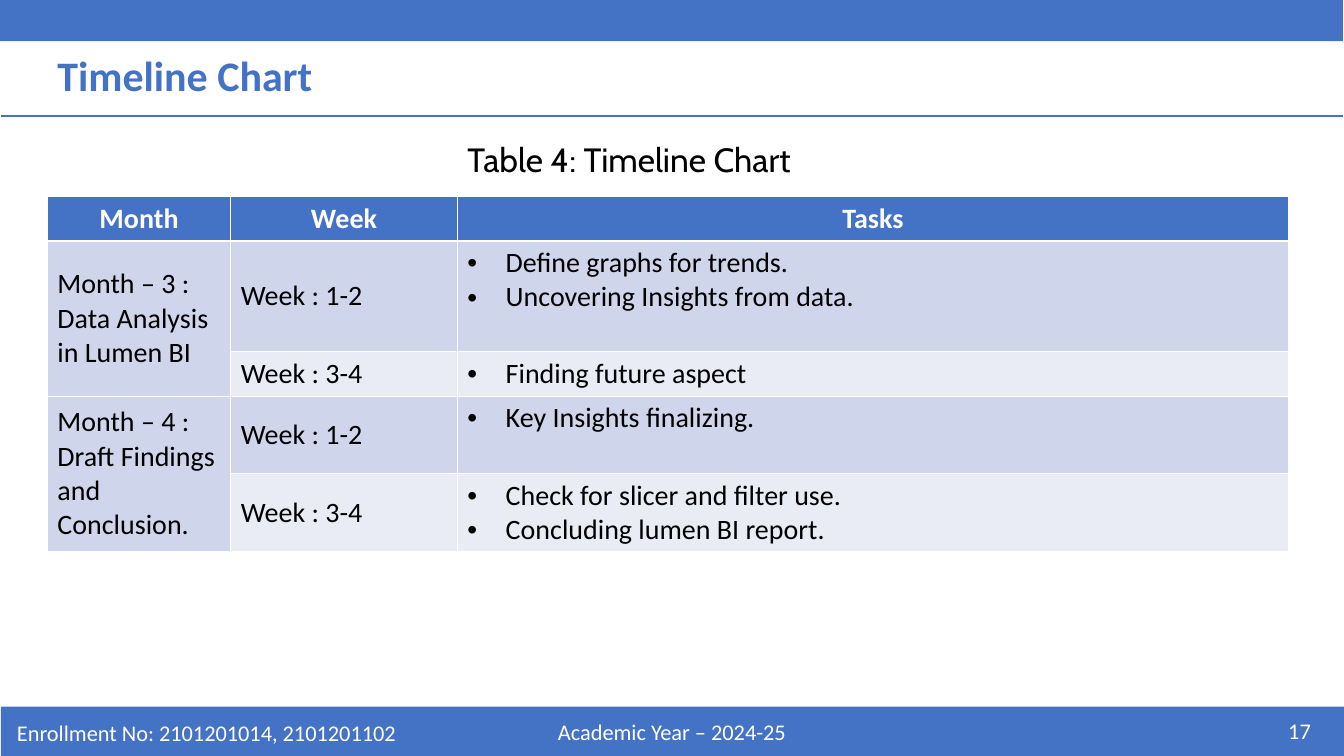
from lxml.etree import SubElement
from pptx import Presentation
from pptx.dml.color import RGBColor
from pptx.enum.shapes import MSO_CONNECTOR as CONN, MSO_SHAPE as SHAPE
from pptx.enum.text import MSO_ANCHOR as ANCHOR, MSO_AUTO_SIZE as AUTO, PP_ALIGN as ALIGN
from pptx.oxml.ns import qn
from pptx.util import Emu, Pt

BLUE, WHITE, BLACK = "4472C4", "FFFFFF", "000000"
BANDS = ["CFD5EA", "E9EBF5"]
TITLE = "Timeline Chart"
CAPTION = "Table 4: Timeline Chart"
BARS = [(1, 701, 1333, 49), (0, -2, 1333, 43)]
FOOTER = [
    ("Enrollment No: 2101201014, 2101201102", (7, 707, 450, 40), ALIGN.LEFT),
    ("Academic Year – 2024-25", (442, 706, 450, 40), ALIGN.CENTER),
    ("17", (1011, 705, 300, 40), ALIGN.RIGHT),
]
HEADERS = ["Month", "Week", "Tasks"]
MONTHS = [
    ("Month – 3 : Data Analysis in Lumen BI", [
        ("Week : 1-2", ["Define graphs for trends.", "Uncovering Insights from data."]),
        ("Week : 3-4", ["Finding future aspect"]),
    ]),
    ("Month – 4 : Draft Findings and Conclusion.", [
        ("Week : 1-2", ["Key Insights finalizing."]),
        ("Week : 3-4", ["Check for slicer and filter use.", "Concluding lumen BI report."]),
    ]),
]
COLS = [182, 225, 825]
ROWS = [44, 110, 44, 77, 77]


def px(n):
    return Emu(n * 9144)


def rgb(color):
    return RGBColor.from_string(color)


def write(tf, text, size=20, font="Calibri", color=BLACK, bold=False, align=ALIGN.LEFT,
          bullet=False, before=0, spacing=1.0):
    lines = [text] if isinstance(text, str) else text
    for i, line in enumerate(lines):
        p = tf.add_paragraph() if i else tf.paragraphs[0]
        p.alignment, p.space_before, p.line_spacing = align, Pt(before), spacing
        r = p.add_run()
        r.text = line
        r.font.size, r.font.name, r.font.bold = Pt(size), font, bold
        r.font.color.rgb = rgb(color)
        if bullet:
            pPr = p._p.get_or_add_pPr()
            pPr.set("marL", str(px(38)))
            pPr.set("indent", str(-px(38)))
            SubElement(pPr, qn("a:buFont"), typeface="Arial")
            SubElement(pPr, qn("a:buChar"), char="•")


def add_text(box, text, anchor=ANCHOR.TOP, **fmt):
    tf = s.shapes.add_textbox(*map(px, box)).text_frame
    tf.word_wrap, tf.vertical_anchor = True, anchor
    write(tf, text, **fmt)


def style_cell(cell, fill, top, bottom):
    tcPr = cell._tc.get_or_add_tcPr()
    for side, width in zip("LRTB", (0.45, 0.45, top, bottom)):
        ln = SubElement(tcPr, qn(f"a:ln{side}"), w=str(Pt(width)))
        SubElement(SubElement(ln, qn("a:solidFill")), qn("a:srgbClr"), val=WHITE)
    cell.fill.solid()
    cell.fill.fore_color.rgb = rgb(fill)
    cell.vertical_anchor = ANCHOR.MIDDLE


prs = Presentation()
prs.slide_width, prs.slide_height = px(1334), px(750)
s = prs.slides.add_slide(prs.slide_layouts[5])

for box in BARS:
    sp = s.shapes.add_shape(SHAPE.RECTANGLE, *map(px, box))
    sp.shadow.inherit = False
    sp.fill.solid()
    sp.fill.fore_color.rgb = rgb(BLUE)
    sp.line.fill.background()

title = s.shapes.title
title.left, title.top, title.width, title.height = map(px, (47, 44, 1052, 60))
tf = title.text_frame
tf.auto_size, tf.vertical_anchor = AUTO.NONE, ANCHOR.TOP
write(tf, TITLE, size=30, color=BLUE, bold=True)

rule = s.shapes.add_connector(CONN.STRAIGHT, *map(px, (1, 115, 1333, 115)))
rule.line.color.rgb, rule.line.width = rgb(BLUE), Pt(1.5)
SubElement(rule._element.spPr, qn("a:effectLst"))

for text, box, align in FOOTER:
    add_text(box, text, anchor=ANCHOR.MIDDLE, size=16, color=WHITE, align=align)
add_text((291, 137, 667, 46), CAPTION, size=24, font="Cabin", align=ALIGN.CENTER,
         before=10, spacing=0.9)

table = s.shapes.add_table(len(ROWS), len(COLS), px(47), px(195),
                           px(sum(COLS)), px(sum(ROWS))).table
for col, width in zip(table.columns, COLS):
    col.width = px(width)
for row, height in zip(table.rows, ROWS):
    row.height = px(height)

for i in range(len(ROWS)):
    for j in range(len(COLS)):
        fill = BLUE if i == 0 else BANDS[0 if j == 0 else (i - 1) % 2]
        style_cell(table.cell(i, j), fill, 1.47 if i == 1 else 0.45, 1.47 if i == 0 else 0.45)

for j, header in enumerate(HEADERS):
    write(table.cell(0, j).text_frame, header, color=WHITE, bold=True, align=ALIGN.CENTER)

i = 1
for month, weeks in MONTHS:
    cell = table.cell(i, 0)
    cell.merge(table.cell(i + len(weeks) - 1, 0))
    write(cell.text_frame, month)
    for week, tasks in weeks:
        write(table.cell(i, 1).text_frame, week)
        cell = table.cell(i, 2)
        cell.vertical_anchor = ANCHOR.TOP
        write(cell.text_frame, tasks, bullet=True)
        i += 1

prs.save("out.pptx")
